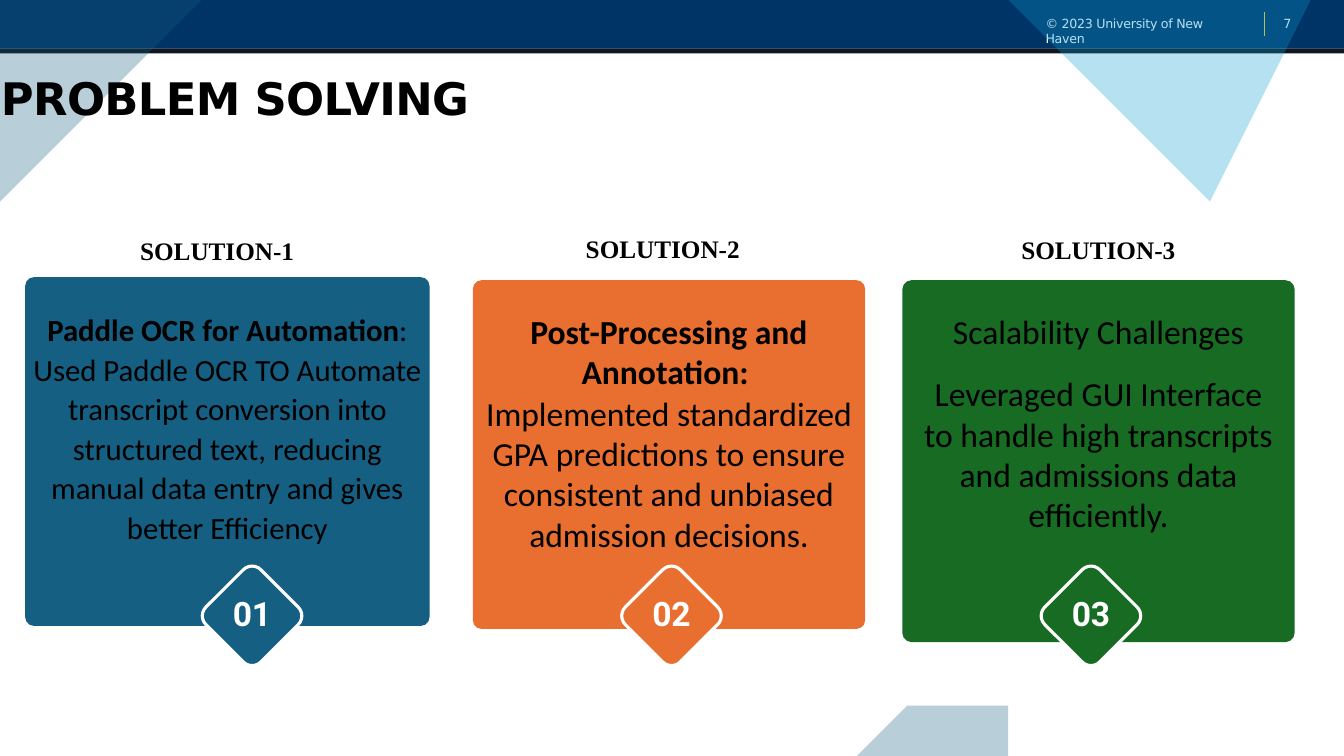
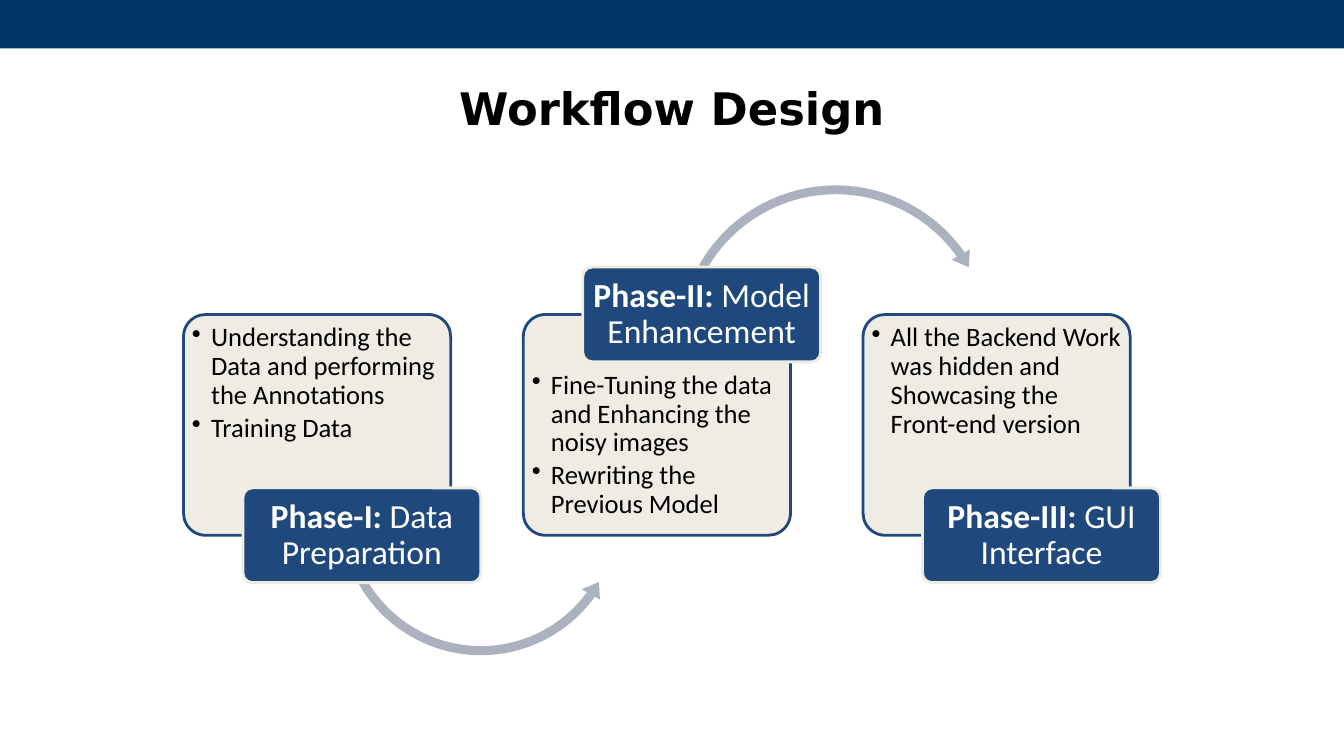
import pptx
import pptx.util
import pptx.dml.color
import pptx.enum.shapes
import pptx.enum.text
import pptx.oxml.ns
import lxml.etree

Inches, Pt = pptx.util.Inches, pptx.util.Pt
SHAPE = pptx.enum.shapes.MSO_SHAPE
ALIGN = pptx.enum.text.PP_ALIGN
ANCHOR = pptx.enum.text.MSO_ANCHOR

SLIDE_W, SLIDE_H = 13.33, 7.5
COLORS = {
    "band": "003366", "strip": "0D1623", "gold": "FFCC33",
    "teal": "155F82", "sky": "0D9ED3", "orange": "E96F30", "green": "176B22",
    "navy": "1F497D", "cream": "EEECE1", "arrow": "ACB1BF",
    "white": "FFFFFF", "black": "000000",
}
# Font formats; "color" and "spc" (points) are handled apart from the rest
FORMATS = {
    "title": {"name": "DejaVu Sans", "size": Pt(32), "bold": True, "color": "black", "spc": -0.5},
    "plain_title": {"name": "DejaVu Sans", "size": Pt(32), "bold": True, "color": "black"},
    "footer": {"name": "DejaVu Sans", "size": Pt(9), "color": "white", "spc": -0.2},
    "heading": {"name": "Times New Roman", "size": Pt(18), "bold": True, "color": "black"},
    "body22": {"name": "Calibri", "size": Pt(22), "color": "black"},
    "body24": {"name": "Calibri", "size": Pt(24), "color": "black"},
    "badge": {"name": "Roboto", "size": Pt(24), "bold": True, "color": "white", "spc": -0.2},
    "bullet": {"name": "Calibri", "size": Pt(19), "color": "black"},
    "phase": {"name": "Calibri", "size": Pt(24), "color": "white"},
}


def rgb(color):
    return pptx.dml.color.RGBColor.from_string(COLORS[color])


def sub(parent, tag, **attributes):
    return lxml.etree.SubElement(parent, pptx.oxml.ns.qn(tag), **attributes)


def paint(shape, fill, opacity=100, line=None, width=2):
    """Give a shape its fill, opacity and outline."""
    shape.shadow.inherit = False
    shape.fill.solid()
    shape.fill.fore_color.rgb = rgb(fill)
    if opacity < 100:
        color = shape.fill._xPr.find(".//" + pptx.oxml.ns.qn("a:srgbClr"))
        sub(color, "a:alpha", val=str(opacity * 1000))
    if line:
        shape.line.color.rgb = rgb(line)
        shape.line.width = Pt(width)
    else:
        shape.line.fill.background()
    return shape


def add_preset(slide, kind, box, fill, adjust=(), **look):
    shape = slide.shapes.add_shape(kind, *map(Inches, box))
    for index, value in enumerate(adjust):
        shape.adjustments[index] = value
    return paint(shape, fill, **look)


def add_outline(slide, points, fill, opacity):
    builder = slide.shapes.build_freeform(*points[0], scale=Inches(1))
    builder.add_line_segments(points[1:], close=True)
    return paint(builder.convert_to_shape(), fill, opacity)


def write(shape, paragraphs, style, align=ALIGN.LEFT, insets=(0, 0, 0, 0),
          anchor=ANCHOR.TOP, spacing=None, after=0, bullet=False):
    """Fill a shape with paragraphs, each a list of (text, bold) runs or a string."""
    frame = shape.text_frame
    frame.word_wrap = True
    frame.vertical_anchor = anchor
    for side, inset in zip(("left", "top", "right", "bottom"), insets):
        setattr(frame, "margin_" + side, Inches(inset))
    for index, runs in enumerate(paragraphs):
        paragraph = frame.paragraphs[0] if index == 0 else frame.add_paragraph()
        if bullet:
            properties = paragraph._p.get_or_add_pPr()
            properties.set("marL", str(Inches(0.19)))
            properties.set("indent", str(-Inches(0.19)))
            sub(properties, "a:buChar", char="•")
        paragraph.alignment = align
        if spacing:
            paragraph.line_spacing = spacing
        if index < len(paragraphs) - 1:
            paragraph.space_after = Pt(after)
        for text, bold in [(runs, None)] if isinstance(runs, str) else runs:
            run = paragraph.add_run()
            run.text = text
            for key, value in FORMATS[style].items():
                if key == "color":
                    run.font.color.rgb = rgb(value)
                elif key == "spc":
                    run._r.get_or_add_rPr().set("spc", str(round(value * 100)))
                else:
                    setattr(run.font, key, value)
            if bold is not None:
                run.font.bold = bold


def add_text(slide, box, paragraphs, style, **layout):
    write(slide.shapes.add_textbox(*map(Inches, box)), paragraphs, style, **layout)


def new_slide(deck):
    """Blank slide with the band that all slides share."""
    slide = deck.slides.add_slide(deck.slide_layouts[6])
    add_preset(slide, SHAPE.RECTANGLE, (0, 0, SLIDE_W, 0.48), "band")
    return slide


def header_decoration(slide):
    # Footer wording in the band
    add_text(slide, (12.73, 0.16, 0.2, 0.18), ["7"], "footer")
    add_text(slide, (10.37, 0.16, 1.8, 0.3), ["© 2023 University of New Haven"], "footer")
    divider = slide.shapes.add_connector(
        pptx.enum.shapes.MSO_CONNECTOR.STRAIGHT, *map(Inches, (12.54, 0.12, 12.54, 0.36)))
    divider.line.color.rgb = rgb("gold")
    divider.line.width = Pt(1)
    sub(divider._element.spPr, "a:effectLst")
    # Strip and corner diamonds
    add_preset(slide, SHAPE.RECTANGLE, (0, 0.48, SLIDE_W, 0.05), "strip")
    add_outline(slide, [(0, 0), (1.53, 0), (1.83, 0.3), (0.41, 1.71), (0, 1.3)], "teal", 30)
    add_outline(slide, [(10.23, 0), (SLIDE_W, 0), (SLIDE_W, 0.28), (11.93, 1.62)], "sky", 30)


def solution_card(slide, box, color, heading, heading_at, text_box, paragraphs,
                  badge, badge_x, style="body24", **layout):
    """Card with a heading above, text inside and a numbered diamond below."""
    left, top, width, height = box
    add_preset(slide, SHAPE.ROUNDED_RECTANGLE, box, color, [0.025])
    dx, dy, text_w, text_h = text_box
    add_text(slide, (left + dx, top + dy, text_w, text_h), paragraphs, style,
             align=ALIGN.CENTER, **layout)
    dx, dy = heading_at
    add_text(slide, (left + dx, top + dy, 1.7, 0.32), [heading], "heading")
    # Diamond badge, its centres on one line across the cards
    side, center_y = 0.77, 6.11
    diamond = add_preset(slide, SHAPE.ROUNDED_RECTANGLE,
                         (badge_x - side / 2, center_y - side / 2, side, side),
                         color, [0.16], line="white", width=2.25)
    diamond.rotation = 45
    add_text(slide, (badge_x - 0.3, center_y - 0.23, 0.6, 0.43), [badge], "badge",
             align=ALIGN.CENTER)


def problem_solving(deck):
    slide = new_slide(deck)
    header_decoration(slide)
    add_text(slide, (0.01, 0.7, 4.92, 0.55), ["PROBLEM SOLVING"], "title")
    cards = [
        dict(box=(0.25, 2.75, 4.01, 3.46), color="teal", heading_at=(1.14, -0.42),
             text_box=(0.01, 0.31, 3.99, 2.37), style="body22", spacing=1.07,
             paragraphs=[[("Paddle OCR for Automation", True),
                          (": Used Paddle OCR TO Automate transcript conversion into "
                           "structured text, reducing manual data entry and gives "
                           "better Efficiency", False)]]),
        dict(box=(4.69, 2.78, 3.89, 3.46), color="orange", heading_at=(1.12, -0.47),
             text_box=(0.04, 0.3, 3.81, 2.44), after=1.1,
             paragraphs=[[("Post-Processing and Annotation: ", True)],
                         "Implemented standardized GPA predictions to ensure "
                         "consistent and unbiased admission decisions."]),
        dict(box=(8.95, 2.78, 3.89, 3.59), color="green", heading_at=(1.18, -0.46),
             text_box=(0.18, 0.3, 3.53, 2.26), after=16,
             paragraphs=["Scalability Challenges",
                         "Leveraged GUI Interface to handle high transcripts and "
                         "admissions data efficiently."]),
    ]
    for index, card in enumerate(cards):
        solution_card(slide, heading=f"SOLUTION-{index + 1}", badge=f"0{index + 1}",
                      badge_x=2.5 + 4.16 * index, **card)
    # Peaks at the bottom edge
    add_outline(slide, [(8.32, SLIDE_H), (8.76, 7.06), (8.96, 7.26), (9.54, 6.69),
                        (10.36, SLIDE_H)], "teal", 30)


def phase_step(slide, box, phase, name, tasks, label_dy, text_top=0.03, arc=None):
    """Task box with its phase label and the arrow to the next phase."""
    left, top, width, height = box
    tasks_box = add_preset(slide, SHAPE.ROUNDED_RECTANGLE, box, "cream", [0.1],
                           opacity=90, line="navy")
    write(tasks_box, tasks, "bullet", insets=(0.02, text_top, 0.02, 0.03),
          spacing=0.9, after=3, bullet=True)
    if arc:
        kind, dx, dy, size, adjust = arc
        add_preset(slide, kind, (left + dx, top + dy, size, size), "arrow", adjust)
    label = add_preset(slide, SHAPE.ROUNDED_RECTANGLE,
                       (left + 0.59, top + label_dy, 2.36, 0.94), "navy", [0.1], line="cream")
    write(label, [[(phase + " ", True), (name, False)]], "phase", align=ALIGN.CENTER,
          insets=(0.05, 0.03, 0.05, 0.03), anchor=ANCHOR.MIDDLE, spacing=0.9)


def workflow_design(deck):
    slide = new_slide(deck)
    phases = [
        dict(phase="Phase-I:", name="Data Preparation", label_dy=1.72,
             tasks=["Understanding the Data and performing the Annotations",
                    "Training Data"],
             arc=(SHAPE.LEFT_CIRCULAR_ARROW, 1.5, 0.54, 2.9,
                  (0.031, 3.755, 21.51, 90.245, 0.036))),
        dict(phase="Phase-II:", name="Model Enhancement", label_dy=-0.47, text_top=0.5,
             tasks=["Fine-Tuning the data and Enhancing the noisy images",
                    "Rewriting the Previous Model"],
             arc=(SHAPE.CIRCULAR_ARROW, 1.48, -1.34, 3.24,
                  (0.027, 3.337, 194.908, 125.755, 0.032))),
        dict(phase="Phase-III:", name="GUI Interface", label_dy=1.72,
             tasks=["All the Backend Work was hidden and Showcasing the "
                    "Front-end version"]),
    ]
    for index, phase in enumerate(phases):
        phase_step(slide, (1.82 + 3.37 * index, 3.12, 2.65, 2.19), **phase)
    add_text(slide, (3.33, 0.8, 6.67, 0.55), ["Workflow Design"], "plain_title",
             align=ALIGN.CENTER)


def main():
    deck = pptx.Presentation()
    deck.slide_width, deck.slide_height = Inches(SLIDE_W), Inches(SLIDE_H)
    problem_solving(deck)
    workflow_design(deck)
    deck.save("out.pptx")


if __name__ == "__main__":
    main()
